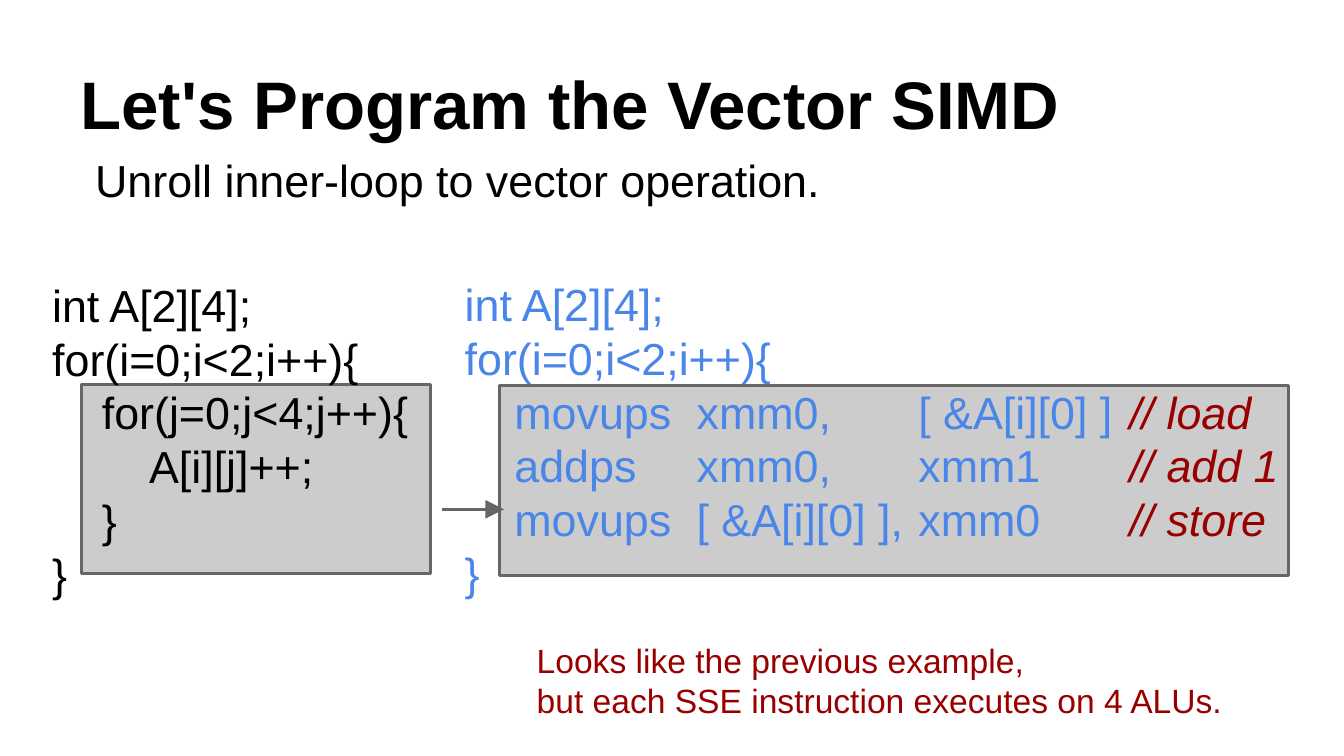
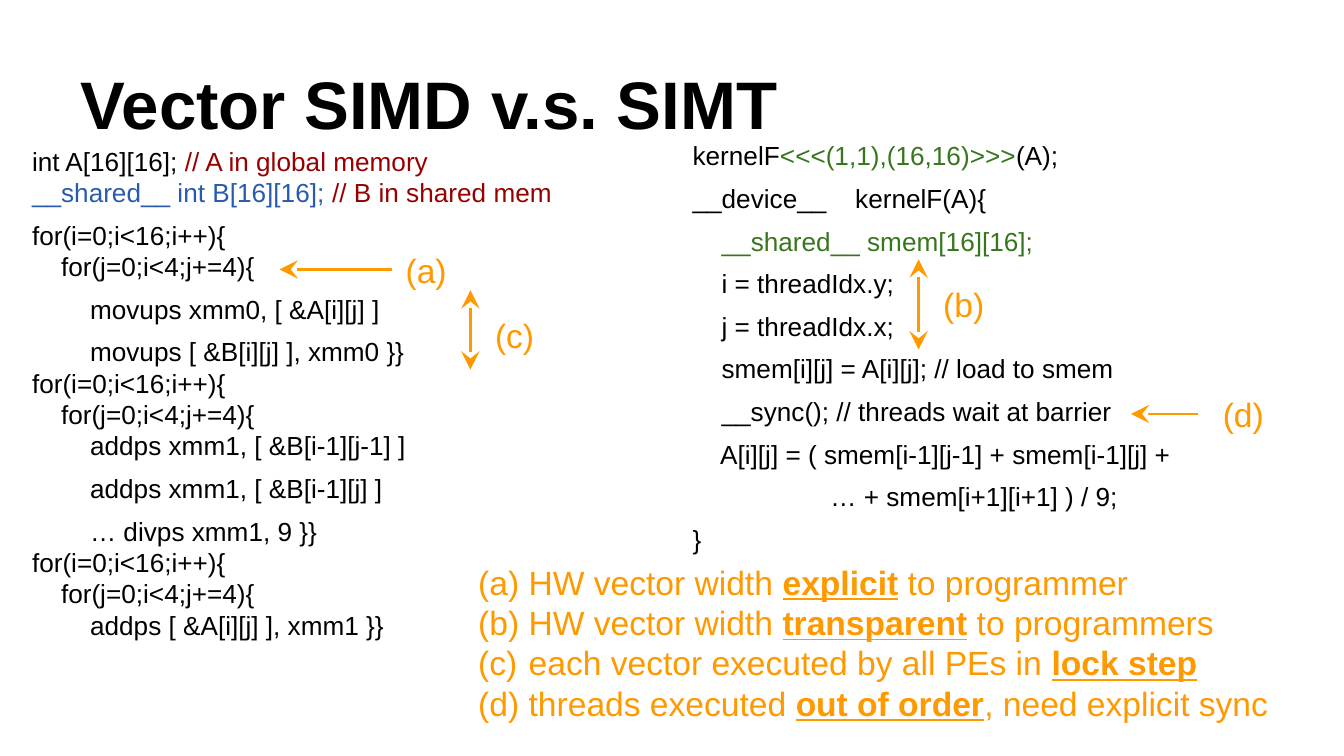
from lxml import etree
from pptx import Presentation
from pptx import util as u
from pptx.dml.color import RGBColor
from pptx.enum import shapes, text
from pptx.oxml import ns

PX = 4572
FONT = "Arial"
LINE_RATIO = 1.2
COLOURS = {
    "black": "000000",
    "blue": "4A86E8",
    "navy": "285BAC",
    "red": "980000",
    "green": "38761D",
    "orange": "FF9900",
    "panel": "CCCCCC",
    "grey": "666666",
}

SCALAR_CODE = [
    ["int A[2][4];"],
    ["for(i=0;i<2;i++){"],
    ["    for(j=0;j<4;j++){"],
    ["        A[i][j]++;"],
    ["    }"],
    ["}"],
]
VECTOR_CODE = [
    ["int A[2][4];"],
    ["for(i=0;i<2;i++){"],
    ["    movups\txmm0,\t[ &A[i][0] ]\t", ("// load", "red", "italic")],
    ["    addps\txmm0,\txmm1\t", ("// add 1", "red", "italic")],
    ["    movups\t[ &A[i][0] ],\txmm0\t", ("// store", "red", "italic")],
    ["}"],
]
SIMD_CODE = [
    ["int A[16][16]; ", ("// A in global memory", "red", None)],
    [("__shared__ int B[16][16]; ", "navy", None), ("// B in shared mem", "red", None)],
    ["for(i=0;i<16;i++){"],
    ["    for(j=0;i<4;j+=4){"],
    ["        movups xmm0, [ &A[i][j] ]"],
    ["        movups [ &B[i][j] ], xmm0 }}"],
    ["for(i=0;i<16;i++){"],
    ["    for(j=0;i<4;j+=4){"],
    ["        addps xmm1, [ &B[i-1][j-1] ]"],
    ["        addps xmm1, [ &B[i-1][j] ]"],
    ["        … divps xmm1, 9 }}"],
    ["for(i=0;i<16;i++){"],
    ["    for(j=0;i<4;j+=4){"],
    ["        addps [ &A[i][j] ], xmm1 }}"],
]
SIMT_CODE = [
    ["kernelF", ("<<<(1,1),(16,16)>>>", "green", None), "(A);"],
    ["__device__\tkernelF(A){"],
    ["    ", ("__shared__ smem[16][16];", "green", None)],
    ["    i = threadIdx.y;"],
    ["    j = threadIdx.x;"],
    ["    smem[i][j] = A[i][j]; // load to smem"],
    ["    __sync(); // threads wait at barrier"],
    ["    A[i][j] = ( smem[i-1][j-1] + smem[i-1][j] +"],
    ["                   … + smem[i+1][i+1] ) / 9;"],
    ["}"],
]
DIFFERENCES = [
    ["HW vector width ", ("explicit", "orange", "strong"), " to programmer"],
    ["HW vector width ", ("transparent", "orange", "strong"), " to programmers"],
    ["each vector executed by all PEs in ", ("lock step", "orange", "strong")],
    ["threads executed ", ("out of order", "orange", "strong"), ", need explicit sync"],
]


def px(*lengths):
    return [u.Emu(length * PX) for length in lengths]


def rgb(name):
    return RGBColor.from_string(COLOURS[name])


def add_element(parent, tag, **attributes):
    element = etree.SubElement(parent, ns.qn(tag))
    for key, value in attributes.items():
        element.set(key, str(value))
    return element


def add_tabs(paragraph, stops):
    tab_list = add_element(paragraph._p.get_or_add_pPr(), "a:tabLst")
    for stop in stops:
        add_element(tab_list, "a:tab", pos=stop * PX, algn="l")


def add_lettering(paragraph, colour):
    properties = paragraph._p.get_or_add_pPr()
    properties.set("marL", str(100 * PX))
    properties.set("indent", str(-75 * PX))
    bullet_colour = add_element(properties, "a:buClr")
    add_element(bullet_colour, "a:srgbClr", val=COLOURS[colour])
    add_element(properties, "a:buAutoNum", type="alphaLcParenBoth")


def add_run(paragraph, content):
    run = paragraph.add_run()
    if isinstance(content, str):
        run.text = content
        return
    run.text, colour, emphasis = content
    run.font.color.rgb = rgb(colour)
    if emphasis == "italic":
        run.font.italic = True
    elif emphasis == "strong":
        run.font.bold = True
        run.font.underline = True


def fill_text(shape, lines, size, colour="black", gaps=(), tabs=(), lettered=False,
              bold=False, anchor=text.MSO_ANCHOR.TOP):
    frame = shape.text_frame
    frame.word_wrap = True
    frame.auto_size = text.MSO_AUTO_SIZE.NONE
    frame.vertical_anchor = anchor
    frame.margin_left, frame.margin_top, frame.margin_right, frame.margin_bottom = px(20, 20, 20, 20)
    for index, line in enumerate(lines):
        paragraph = frame.add_paragraph() if index else frame.paragraphs[0]
        if lettered:
            add_lettering(paragraph, colour)
        if tabs:
            add_tabs(paragraph, tabs)
        paragraph.alignment = text.PP_ALIGN.LEFT
        paragraph.line_spacing = u.Pt(size * LINE_RATIO)
        paragraph.space_before = u.Pt(6 if index in gaps else 0)
        paragraph.font.name = FONT
        paragraph.font.size = u.Pt(size)
        paragraph.font.bold = bold
        paragraph.font.color.rgb = rgb(colour)
        for content in line:
            add_run(paragraph, content)


def add_text(slide, box, lines, size, **options):
    fill_text(slide.shapes.add_textbox(*px(*box)), lines, size, **options)


def add_panel(slide, box):
    panel = slide.shapes.add_shape(shapes.MSO_SHAPE.RECTANGLE, *px(*box))
    panel.shadow.inherit = False
    panel.fill.solid()
    panel.fill.fore_color.rgb = rgb("panel")
    panel.line.color.rgb = rgb("grey")
    panel.line.width = u.Pt(1.5)


def add_arrow(slide, ends, colour, head=None, tail=None):
    arrow = slide.shapes.add_connector(shapes.MSO_CONNECTOR.STRAIGHT, *px(*ends))
    arrow.line.color.rgb = rgb(colour)
    arrow.line.width = u.Pt(1.5)
    line = arrow.line._get_or_add_ln()
    for tag, kind in (("a:headEnd", head), ("a:tailEnd", tail)):
        if kind:
            add_element(line, tag, type=kind, w="lg", len="lg")
    add_element(arrow._element.spPr, "a:effectLst")


def add_titled_slide(presentation, heading):
    slide = presentation.slides.add_slide(presentation.slide_layouts[5])
    title = slide.shapes.title
    title.left, title.top, title.width, title.height = px(100, 45, 1800, 188)
    fill_text(title, [[heading]], 36, bold=True, anchor=text.MSO_ANCHOR.BOTTOM)
    return slide


def build_unrolling(presentation):
    slide = add_titled_slide(presentation, "Let's Program the Vector SIMD")
    add_panel(slide, (121, 572, 520, 282))
    add_panel(slide, (743, 574, 1174, 282))
    add_text(slide, (672, 392, 1300, 638), VECTOR_CODE, 24, colour="blue", tabs=(345, 675, 989))
    add_text(slide, (58, 393, 620, 664), SCALAR_CODE, 24)
    add_arrow(slide, (658, 758, 750, 758), "grey", tail="triangle")
    remark = [["Looks like the previous example,"], ["but each SSE instruction executes on 4 ALUs."]]
    add_text(slide, (779, 932, 1138, 156), remark, 18, colour="red")
    add_text(slide, (122, 208, 1720, 80), [["Unroll inner-loop to vector operation."]], 24)


def build_comparison(presentation):
    slide = add_titled_slide(presentation, "Vector SIMD v.s. SIMT")
    add_text(slide, (28, 196, 988, 888), SIMD_CODE, 14, gaps=(2, 4, 5, 9, 10))
    add_text(slide, (1011, 188, 948, 746), SIMT_CODE, 14, gaps=range(1, 10), tabs=(242,))
    for ends in ((416, 401, 584, 401), (1683, 616, 1783, 616)):
        add_arrow(slide, ends, "orange", head="stealth")
    for ends in ((700, 432, 700, 550), (1367, 386, 1367, 520)):
        add_arrow(slide, ends, "orange", head="stealth", tail="stealth")
    for label, left, top in (("(a)", 584, 352), ("(b)", 1384, 402), ("(c)", 717, 449), ("(d)", 1800, 566)):
        add_text(slide, (left, top, 134, 100), [[label]], 18, colour="orange")
    add_text(slide, (667, 816, 1250, 284), DIFFERENCES, 18, colour="orange", lettered=True)


def main():
    presentation = Presentation()
    presentation.slide_width, presentation.slide_height = px(2000, 1125)
    build_unrolling(presentation)
    build_comparison(presentation)
    presentation.save("out.pptx")


if __name__ == "__main__":
    main()
